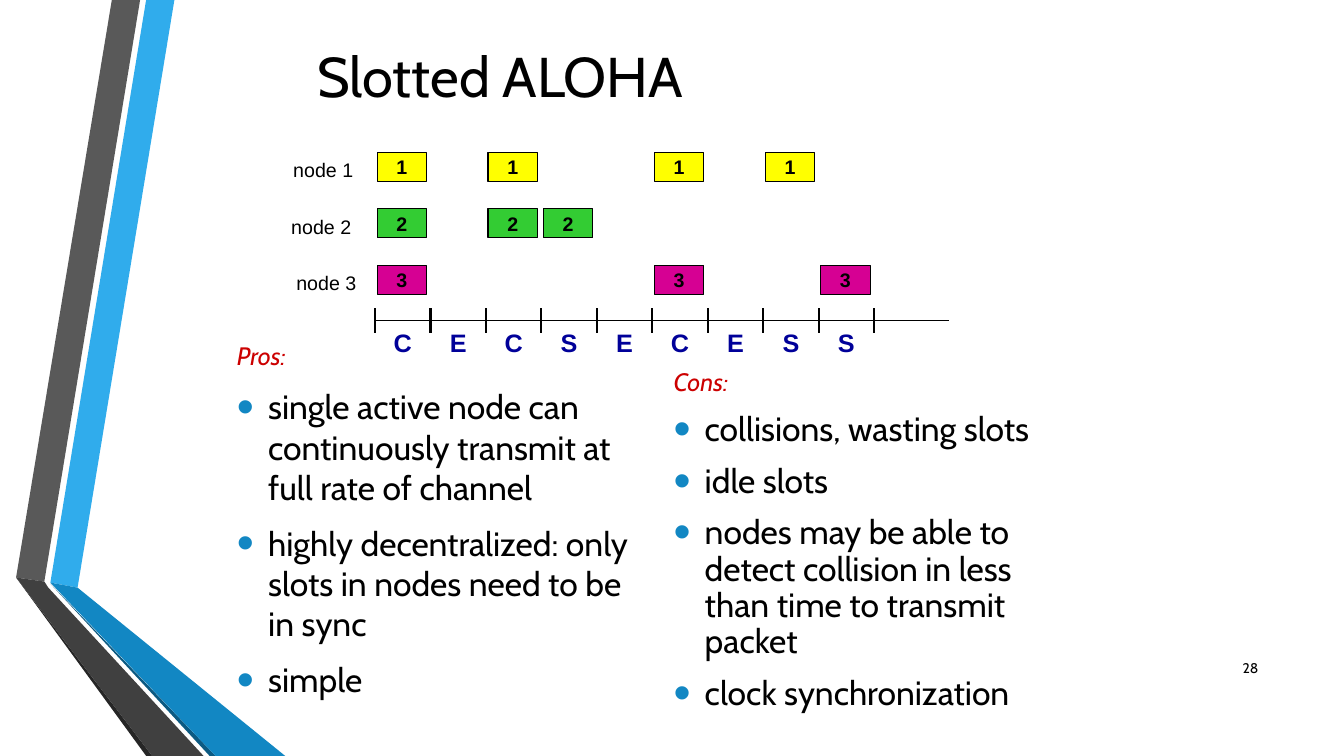
from dataclasses import dataclass

from lxml import etree
from pptx import Presentation
from pptx.dml.color import RGBColor
from pptx.enum.shapes import MSO_CONNECTOR, MSO_SHAPE
from pptx.enum.text import MSO_ANCHOR, MSO_AUTO_SIZE, PP_ALIGN
from pptx.oxml.ns import qn
from pptx.util import Emu, Pt

PX = 9144
LEFT, CENTER, RIGHT = PP_ALIGN.LEFT, PP_ALIGN.CENTER, PP_ALIGN.RIGHT
TOP, MIDDLE = MSO_ANCHOR.TOP, MSO_ANCHOR.MIDDLE
NO_AUTOFIT = MSO_AUTO_SIZE.NONE
RECTANGLE = MSO_SHAPE.RECTANGLE
STRAIGHT = MSO_CONNECTOR.STRAIGHT

BLACK, RED, NAVY, BLUE = "000000", "CC0000", "000099", "1287C3"
TITLE = {"name": "Cabin", "size": Pt(40)}
HEADING = {"name": "Cabin", "size": Pt(18), "italic": True}
BULLET = {"name": "Cabin", "size": Pt(24), "italic": False}
NUMBER = {"name": "Cabin", "size": Pt(10)}
NODE_LABEL = {"name": "Arial", "size": Pt(14)}
FRAME_LABEL = {"name": "Arial", "size": Pt(14), "bold": True}
OUTCOME_LABEL = {"name": "Arial", "size": Pt(18), "bold": True}

SLOT_LEFT, SLOT_WIDTH = 372, 55
ROW_TOP, ROW_PITCH = 151, 56
AXIS_Y, TICK_HALF = 318, 12
OUTCOMES = "CECSECESS"


@dataclass
class Ribbon:
    """One filled polygon of the side decoration."""
    colour: str
    points: list[tuple[int, int]]


@dataclass
class Node:
    """A sender, the slots it transmits in and its label position."""
    number: int
    colour: str
    slots: list[int]
    label_left: int


@dataclass
class Column:
    """A headed bullet list and its place on the slide."""
    box: tuple[int, int, int, int]
    spacing: float
    heading: str
    bullets: list[str]


RIBBONS = [
    Ribbon("30ACEC", [(50, 578), (77, 583), (173, 0), (145, 0)]),
    Ribbon("595959", [(139, 0), (111, 0), (16, 573), (44, 577)]),
    Ribbon("262626", [(16, 573), (145, 750), (151, 750)]),
    Ribbon("0C5A82", [(50, 579), (208, 750), (214, 750)]),
    Ribbon(BLUE, [(50, 578), (214, 750), (283, 750), (77, 583)]),
    Ribbon("404040", [(202, 750), (48, 583), (44, 577), (16, 573), (151, 750)]),
]
NODES = [
    Node(1, "FFFF00", [0, 2, 5, 7], 281),
    Node(2, "33CC33", [0, 2, 3], 279),
    Node(3, "D60093", [0, 5, 8], 284),
]
COLUMNS = [
    Column((225, 333, 417, 382), 1.0, "Pros:", [
        "single active node can continuously transmit at full rate of channel",
        "highly decentralized: only slots in nodes need to be in sync",
        "simple",
    ]),
    Column((658, 362, 417, 350), 0.9, "Cons:", [
        "collisions, wasting slots",
        "idle slots",
        "nodes may be able to detect collision in less than time to transmit packet",
        "clock synchronization",
    ]),
]


def px(n: int) -> Emu:
    """Turn px into EMU."""
    return Emu(n * PX)


def rgb(colour: str) -> RGBColor:
    """Turn a hex string into a colour."""
    return RGBColor.from_string(colour)


def add_run(p, text: str, fmt: dict, colour: str) -> None:
    """Append a formatted run to a paragraph."""
    r = p.add_run()
    r.text = text
    for key, value in fmt.items():
        setattr(r.font, key, value)
    r.font.color.rgb = rgb(colour)


def write(sp, text: str, fmt: dict, colour: str = BLACK, align=LEFT,
          anchor=TOP, wrap: bool = False) -> None:
    """Put one line of text in a shape."""
    tf = sp.text_frame
    tf.auto_size = NO_AUTOFIT
    tf.word_wrap = wrap
    tf.vertical_anchor = anchor
    p = tf.paragraphs[0]
    p.alignment = align
    add_run(p, text, fmt, colour)


def place(sp, box: tuple[int, int, int, int]) -> None:
    """Move and size a shape."""
    sp.left, sp.top, sp.width, sp.height = map(px, box)


def add_label(s, box: tuple[int, int, int, int], text: str, fmt: dict, **options) -> None:
    """Draw a text box."""
    write(s.shapes.add_textbox(*map(px, box)), text, fmt, **options)


def add_line(s, x1: int, y1: int, x2: int, y2: int, width: float) -> None:
    """Draw a black straight line."""
    line = s.shapes.add_connector(STRAIGHT, px(x1), px(y1), px(x2), px(y2))
    line.line.color.rgb = rgb(BLACK)
    line.line.width = Pt(width)
    etree.SubElement(line.element.spPr, qn("a:effectLst"))


def add_ribbon(s, ribbon: Ribbon, front) -> None:
    """Draw a ribbon behind the given shape."""
    start, *rest = ribbon.points
    builder = s.shapes.build_freeform(*start, scale=float(PX))
    builder.add_line_segments(rest, close=True)
    sp = builder.convert_to_shape()
    sp.shadow.inherit = False
    sp.fill.solid()
    sp.fill.fore_color.rgb = rgb(ribbon.colour)
    sp.line.fill.background()
    front.element.addprevious(sp.element)


def set_bullet(p, bulleted: bool) -> None:
    """Give a paragraph its hanging indent and its bullet, if any."""
    pPr = p._p.get_or_add_pPr()
    pPr.set("marL", str(px(31)))
    pPr.set("indent", str(px(-31)))
    if not bulleted:
        etree.SubElement(pPr, qn("a:buNone"))
        return
    colour = etree.SubElement(pPr, qn("a:buClr"))
    etree.SubElement(colour, qn("a:srgbClr"), val=BLUE)
    etree.SubElement(pPr, qn("a:buSzPct"), val="145000")
    etree.SubElement(pPr, qn("a:buFont"), typeface="Arial")
    etree.SubElement(pPr, qn("a:buChar"), char="•")


def fill_column(sp, column: Column) -> None:
    """Write a headed bullet list into a body placeholder."""
    place(sp, column.box)
    tf = sp.text_frame
    tf.auto_size = NO_AUTOFIT
    tf.word_wrap = True
    tf.vertical_anchor = TOP
    for i, text in enumerate([column.heading, *column.bullets]):
        p = tf.add_paragraph() if i else tf.paragraphs[0]
        p.line_spacing = column.spacing
        p.space_before = Pt(5 if i else 0)
        p.space_after = Pt(6)
        set_bullet(p, i > 0)
        add_run(p, text, BULLET if i else HEADING, BLACK if i else RED)


def add_node(s, node: Node, top: int) -> None:
    """Draw a node's label and the frames it sends."""
    add_label(s, (node.label_left, top + 1, 79, 33), f"node {node.number}", NODE_LABEL)
    for slot in node.slots:
        box = (SLOT_LEFT + 2 + slot * SLOT_WIDTH, top, 49, 29)
        sp = s.shapes.add_shape(RECTANGLE, *map(px, box))
        sp.shadow.inherit = False
        sp.fill.solid()
        sp.fill.fore_color.rgb = rgb(node.colour)
        sp.line.color.rgb = rgb(BLACK)
        sp.line.width = Pt(0.75)
        write(sp, str(node.number), FRAME_LABEL, align=CENTER, anchor=MIDDLE)


def add_time_axis(s) -> None:
    """Draw the slot axis with its ticks and outcomes."""
    add_line(s, SLOT_LEFT - 1, AXIS_Y, 941, AXIS_Y, 0.75)
    for i in range(len(OUTCOMES) + 1):
        x = SLOT_LEFT + i * SLOT_WIDTH
        add_line(s, x, AXIS_Y - TICK_HALF, x, AXIS_Y + TICK_HALF, 1.5)
    for i, outcome in enumerate(OUTCOMES):
        box = (SLOT_LEFT + 9 + i * SLOT_WIDTH, 320, 37, 40)
        add_label(s, box, outcome, OUTCOME_LABEL, colour=NAVY, align=CENTER)


def main() -> None:
    """Build the slide and save it."""
    prs = Presentation()
    prs.slide_width, prs.slide_height = px(1333), px(750)
    s = prs.slides.add_slide(prs.slide_layouts[3])
    title, *bodies = s.placeholders
    for ribbon in RIBBONS:
        add_ribbon(s, ribbon, title)
    place(title, (225, 12, 542, 125))
    write(title, "Slotted ALOHA", TITLE, align=CENTER, anchor=MIDDLE, wrap=True)
    for sp, column in zip(bodies, COLUMNS):
        fill_column(sp, column)
    for i, node in enumerate(NODES):
        add_node(s, node, ROW_TOP + i * ROW_PITCH)
    add_time_axis(s)
    add_label(s, (1198, 643, 60, 40), "28", NUMBER, align=RIGHT, anchor=MIDDLE, wrap=True)
    prs.save("out.pptx")


if __name__ == "__main__":
    main()
